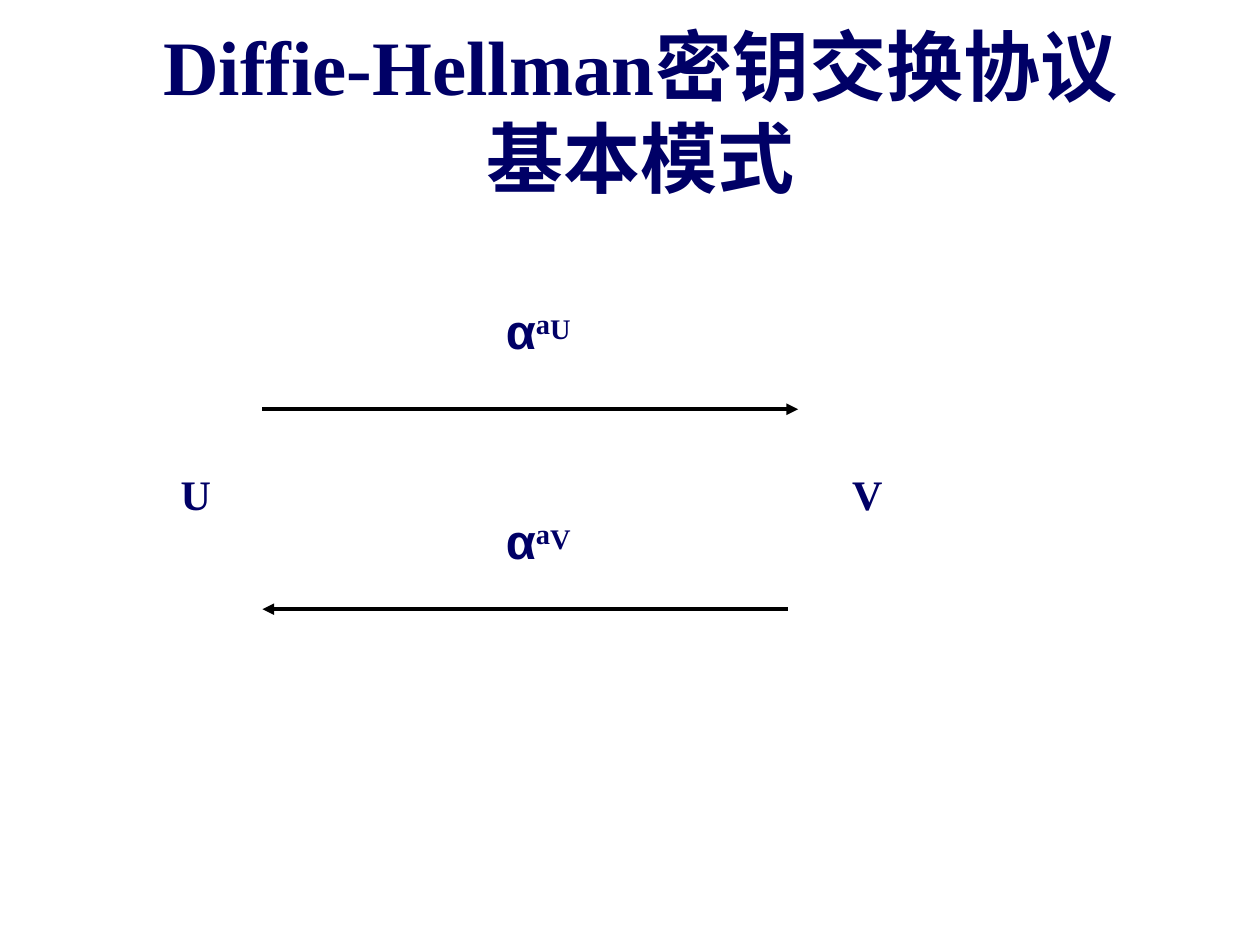
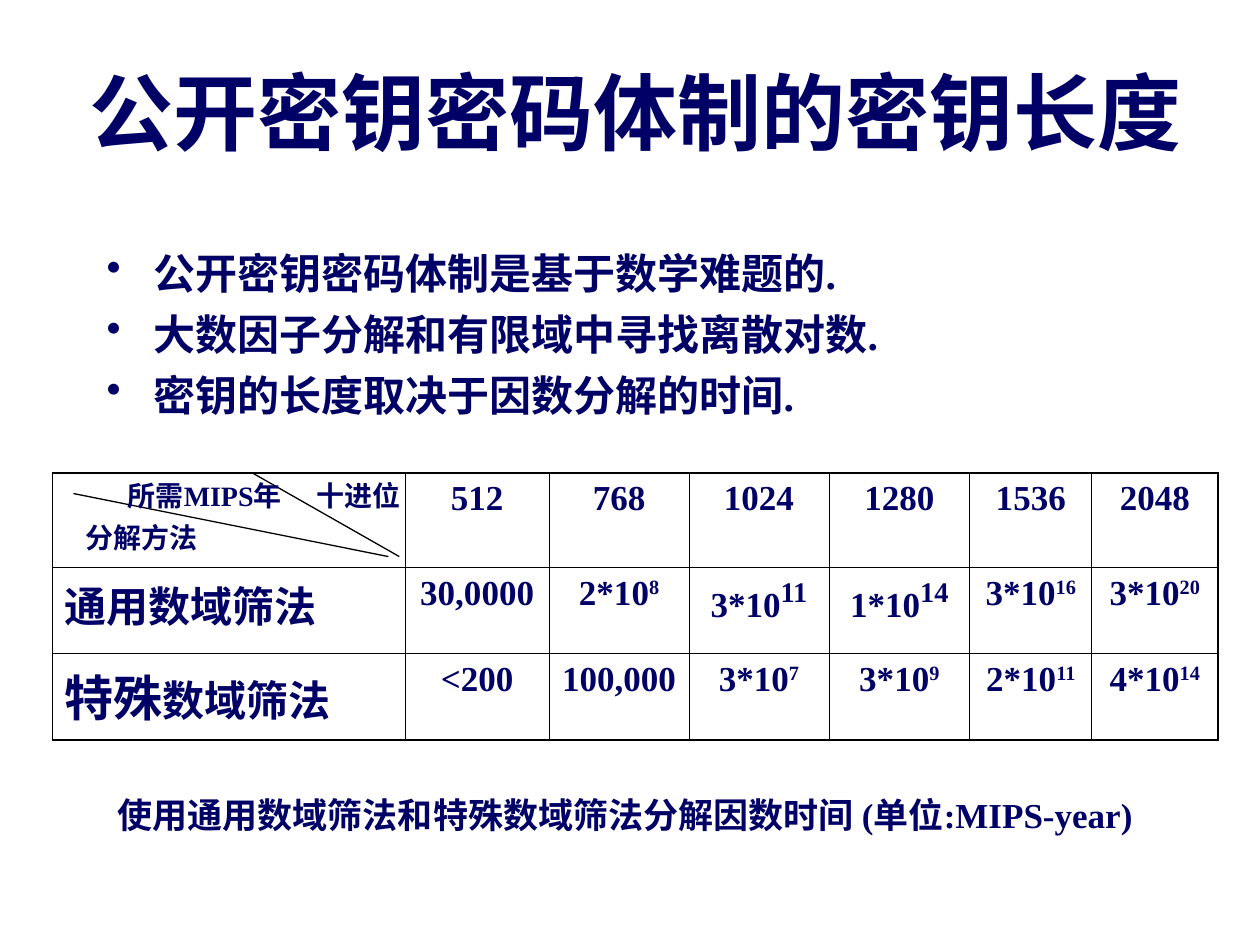
import pptx
import pptx.dml.color
import pptx.enum.shapes
import pptx.enum.text
import pptx.oxml.ns
import pptx.util
from lxml import etree

Cm = pptx.util.Cm
Pt = pptx.util.Pt
qn = pptx.oxml.ns.qn
ALIGN = pptx.enum.text.PP_ALIGN
ANCHOR = pptx.enum.text.MSO_ANCHOR

NAVY = pptx.dml.color.RGBColor(0x00, 0x00, 0x66)
BLACK = pptx.dml.color.RGBColor(0x00, 0x00, 0x00)
TEXT = {"name": "Times New Roman", "bold": True}
TITLE = {"align": ALIGN.CENTER, "anchor": ANCHOR.MIDDLE}


def write(tf, runs, size, align=ALIGN.LEFT, anchor=ANCHOR.TOP):
    """Fill the first paragraph; a run is (text, font changes, raised percent)."""
    tf.word_wrap = True
    tf.vertical_anchor = anchor
    p = tf.paragraphs[0]
    p.alignment = align
    for text, changes, raised in runs:
        if text == "\n":
            p.add_line_break()
            continue
        r = p.add_run()
        r.text = text
        for key, value in {**TEXT, "size": Pt(size), **changes}.items():
            setattr(r.font, key, value)
        r.font.color.rgb = NAVY
        if raised:
            r.font._element.set("baseline", str(raised * 1000))


def add_line(s, ends, width, arrow=False):
    line = s.shapes.add_connector(pptx.enum.shapes.MSO_CONNECTOR.STRAIGHT, *map(Cm, ends))
    line.line.color.rgb = BLACK
    line.line.width = Pt(width)
    if arrow:
        etree.SubElement(line.line._get_or_add_ln(), qn("a:tailEnd"), type="triangle")
    etree.SubElement(line._element.spPr, qn("a:effectLst"))


prs = pptx.Presentation()
prs.slide_width = Cm(25.4)
prs.slide_height = Cm(19.05)
blank = prs.slide_layouts[6]

# Slide 1: key exchange between U and V
s = prs.slides.add_slide(blank)
title = s.shapes.add_textbox(Cm(2.12), Cm(0.64), Cm(21.59), Cm(3.18))
write(title.text_frame,
      [("Diffie-Hellman密钥交换协议", {}, 0), ("\n", {}, 0), ("基本模式", {}, 0)], 44, **TITLE)

for party, left in (("U", 3.39), ("V", 16.93)):
    sp = s.shapes.add_textbox(Cm(left), Cm(9.31), Cm(2.8), Cm(1.27))
    write(sp.text_frame, [(party, {}, 0)], 24)

for ends in ((5.29, 8.25, 16.09, 8.25), (15.88, 12.28, 5.29, 12.28)):
    add_line(s, ends, 2.25, arrow=True)

for party, top in (("U", 5.93), ("V", 10.16)):
    sp = s.shapes.add_textbox(Cm(9.95), Cm(top), Cm(2.75), Cm(1.45))
    write(sp.text_frame, [("α", {"name": "Arial"}, 0), ("a", {}, 30), (party, {}, 20)], 28)

# Slide 2: key lengths
s = prs.slides.add_slide(blank)
title = s.shapes.add_textbox(Cm(1.27), Cm(0.64), Cm(23.07), Cm(3.18))
write(title.text_frame, [("公开密钥密码体制的密钥长度", {}, 0)], 48, **TITLE)

points = ["公开密钥密码体制是基于数学难题的.",
          "大数因子分解和有限域中寻找离散对数.",
          "密钥的长度取决于因数分解的时间."]
tf = s.shapes.add_textbox(Cm(1.9), Cm(4.87), Cm(21.59), Cm(4.2)).text_frame
tf.word_wrap = True
for i, point in enumerate(points):
    p = tf.paragraphs[0] if i == 0 else tf.add_paragraph()
    pPr = p._p.get_or_add_pPr()
    pPr.set("marL", str(Cm(0.95)))
    pPr.set("indent", str(Cm(-0.95)))
    etree.SubElement(etree.SubElement(pPr, qn("a:buClr")), qn("a:srgbClr"), val=str(NAVY))
    etree.SubElement(pPr, qn("a:buChar"), char="•")
    if i:
        p.space_before = Pt(6)
    r = p.add_run()
    r.text = point
    for key, value in {**TEXT, "size": Pt(24)}.items():
        setattr(r.font, key, value)
    r.font.color.rgb = NAVY

# A number cell is its base and, where there is one, its exponent
rows = [
    ["", "512", "768", "1024", "1280", "1536", "2048"],
    ["通用数域筛法", "30,0000", "2*10^8", "3*10^11", "1*10^14", "3*10^16", "3*10^20"],
    ["特殊数域筛法", "<200", "100,000", "3*10^7", "3*10^9", "2*10^11", "4*10^14"],
]
large_exponents = {(1, 3), (1, 4)}
col_widths = [7.11, 2.9, 2.82, 2.82, 2.84, 2.46, 2.54]
row_heights = [1.91, 1.73, 1.75]
table = s.shapes.add_table(len(rows), len(col_widths), Cm(1.06), Cm(9.53),
                           Cm(sum(col_widths)), Cm(sum(row_heights))).table
table.first_row = table.horz_banding = False
for column, width in zip(table.columns, col_widths):
    column.width = Cm(width)
for row, height in zip(table.rows, row_heights):
    row.height = Cm(height)

for y, row in enumerate(rows):
    for x, value in enumerate(row):
        cell = table.cell(y, x)
        cell.margin_left = cell.margin_right = Cm(0.25)
        cell.margin_top = cell.margin_bottom = Cm(0.13)
        if x:
            base, _, exponent = value.partition("^")
            runs = [(base, {}, 0)]
            if exponent:
                changes = {"size": Pt(28)} if (y, x) in large_exponents else {}
                runs.append((exponent, changes, 30))
            write(cell.text_frame, runs, 20, ALIGN.CENTER)
        elif y == 2:
            write(cell.text_frame, [(value[:2], {"size": Pt(28)}, 0), (value[2:], {}, 0)], 24)
        elif value:
            write(cell.text_frame, [(value, {}, 0)], 24)

        tcPr = cell._tc.get_or_add_tcPr()
        outer = {"L": x == 0, "R": x == len(row) - 1, "T": y == 0, "B": y == len(rows) - 1}
        for side, is_outer in outer.items():
            ln = etree.SubElement(tcPr, qn("a:ln" + side), w=str(Pt(1.08 if is_outer else 0.45)))
            fill = etree.SubElement(ln, qn("a:solidFill"))
            etree.SubElement(fill, qn("a:srgbClr"), val=str(BLACK))
        cell.fill.background()

for ends in ((8.05, 11.22, 5.08, 9.53), (7.83, 11.22, 1.48, 9.95)):
    add_line(s, ends, 0.75)

labels = [
    ("分解方法", 16, (1.48, 10.37, 3.18, 0.94)),
    ("所需MIPS年", 16, (2.33, 9.53, 4.23, 0.94)),
    ("十进位", 16, (6.14, 9.53, 2.33, 0.94)),
    ("使用通用数域筛法和特殊数域筛法分解因数时间 (单位:MIPS-year)", 20,
     (2.12, 15.88, 21.17, 1.96)),
]
for text, size, box in labels:
    sp = s.shapes.add_textbox(*map(Cm, box))
    write(sp.text_frame, [(text, {}, 0)], size)

prs.save("out.pptx")
